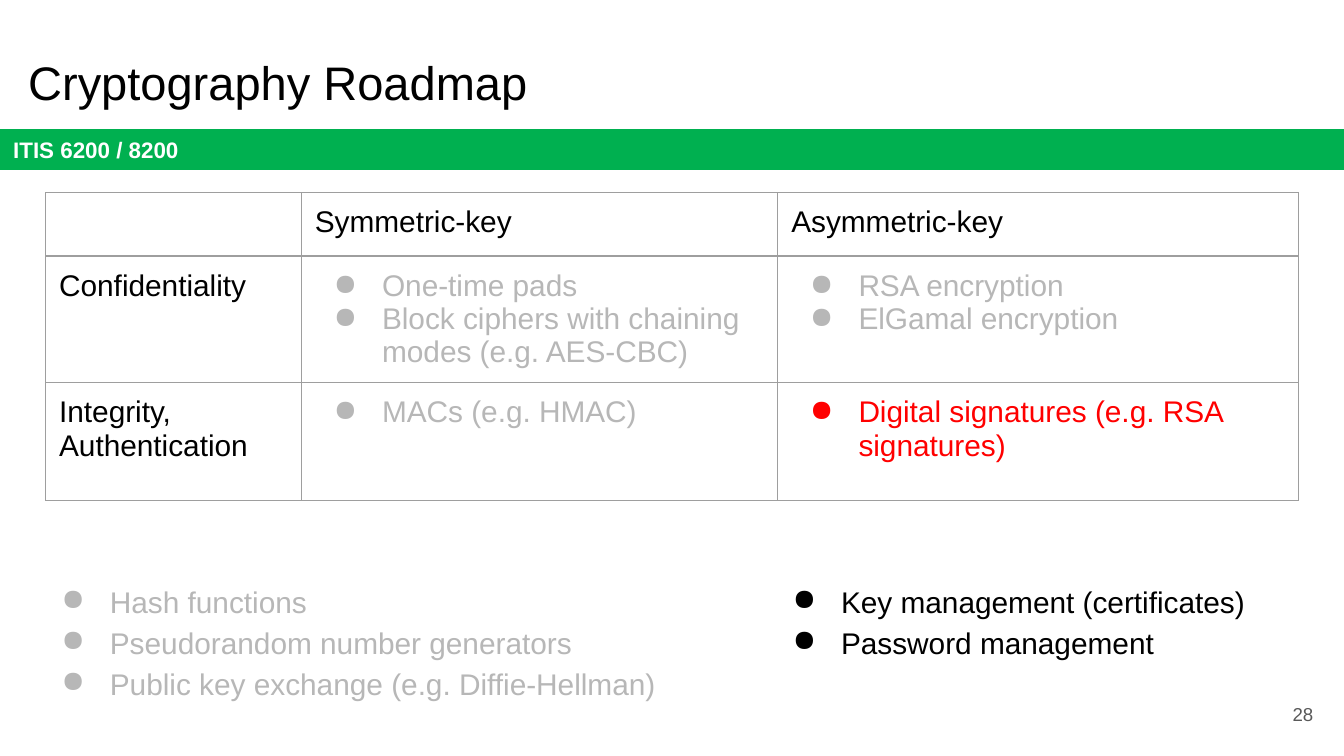
from dataclasses import dataclass

from lxml import etree
from pptx import Presentation
from pptx.dml.color import RGBColor
from pptx.enum.shapes import MSO_SHAPE
from pptx.enum.text import MSO_ANCHOR, PP_ALIGN
from pptx.oxml.ns import qn
from pptx.slide import Slide
from pptx.table import _Cell
from pptx.text.text import TextFrame, _Paragraph
from pptx.util import Pt

RECTANGLE = MSO_SHAPE.RECTANGLE
TOP, MIDDLE = MSO_ANCHOR.TOP, MSO_ANCHOR.MIDDLE
LEFT, RIGHT = PP_ALIGN.LEFT, PP_ALIGN.RIGHT


@dataclass(frozen=True)
class Theme:
    font: str = "Arial"
    black: str = "000000"
    white: str = "FFFFFF"
    green: str = "00B050"
    covered: str = "B7B7B7"
    current: str = "FF0000"
    page_gray: str = "595959"
    border: str = "9E9E9E"
    title_size: float = 25.2
    body_size: float = 16
    course_size: float = 12
    page_size: float = 10
    inset: float = 7.2
    border_width: float = 0.75
    bullet_left: float = 36
    bullet_hanging: float = 26


THEME = Theme()


@dataclass(frozen=True)
class Box:
    left: float
    top: float
    width: float
    height: float

    def lengths(self) -> tuple[Pt, Pt, Pt, Pt]:
        return Pt(self.left), Pt(self.top), Pt(self.width), Pt(self.height)


@dataclass(frozen=True)
class Content:
    lines: tuple[str, ...]
    color: str = THEME.black
    size: float = THEME.body_size
    bold: bool = False
    bulleted: bool = False
    spacing: float = 1.0
    alignment: PP_ALIGN = LEFT


@dataclass(frozen=True)
class TextBlock:
    box: Box
    content: Content
    anchor: MSO_ANCHOR = TOP


def topics(*lines: str, color: str = THEME.covered, spacing: float = 1.0) -> Content:
    return Content(lines, color, bulleted=True, spacing=spacing)


TABLE_BOX = Box(24.5, 103.2, 671, 156.3)
COLUMN_WIDTHS = (137, 255.25, 278.75)
ROW_HEIGHTS = (29.5, 63.4, 63.4)
ROADMAP = (
    (Content(("",)), Content(("Symmetric-key",)), Content(("Asymmetric-key",))),
    (
        Content(("Confidentiality",)),
        topics("One-time pads", "Block ciphers with chaining modes (e.g. AES-CBC)"),
        topics("RSA encryption", "ElGamal encryption"),
    ),
    (
        Content(("Integrity,\vAuthentication",)),
        topics("MACs (e.g. HMAC)"),
        topics("Digital signatures (e.g. RSA signatures)", color=THEME.current),
    ),
)

COURSE_BOX = Box(0, 69.2, 720, 21.8)
COURSE = Content(("ITIS 6200 / 8200",), THEME.white, THEME.course_size, bold=True)

TEXT_BLOCKS = (
    TextBlock(
        Box(8, 21.6, 671, 45.4),
        Content(("Cryptography Roadmap",), size=THEME.title_size),
    ),
    TextBlock(
        Box(15.8, 302.4, 344.2, 92.2),
        topics(
            "Hash functions",
            "Pseudorandom number generators",
            "Public key exchange (e.g. Diffie-Hellman)",
            spacing=1.15,
        ),
    ),
    TextBlock(
        Box(407.5, 302.4, 271.5, 56.2),
        topics(
            "Key management (certificates)",
            "Password management",
            color=THEME.black,
            spacing=1.15,
        ),
    ),
    TextBlock(
        Box(667.4, 367.2, 43.2, 31),
        Content(("28",), THEME.page_gray, THEME.page_size, alignment=RIGHT),
        MIDDLE,
    ),
)


def add_bullet(paragraph: _Paragraph, color: str) -> None:
    properties = paragraph._p.get_or_add_pPr()
    properties.set("marL", str(Pt(THEME.bullet_left)))
    properties.set("indent", str(-Pt(THEME.bullet_hanging)))
    bullet_color = etree.SubElement(properties, qn("a:buClr"))
    etree.SubElement(bullet_color, qn("a:srgbClr"), val=color)
    etree.SubElement(properties, qn("a:buChar"), char="●")


def write_content(text_frame: TextFrame, content: Content) -> None:
    text_frame.text = "\n".join(content.lines)
    for paragraph in text_frame.paragraphs:
        paragraph.alignment = content.alignment
        paragraph.line_spacing = content.spacing
        if content.bulleted:
            add_bullet(paragraph, content.color)
        for run in paragraph.runs:
            run.font.name = THEME.font
            run.font.size = Pt(content.size)
            run.font.bold = content.bold
            run.font.color.rgb = RGBColor.from_string(content.color)
        if not paragraph.runs:
            size = str(int(content.size * 100))
            etree.SubElement(paragraph._p, qn("a:endParaRPr"), sz=size)


def set_layout(target: TextFrame | _Cell, anchor: MSO_ANCHOR) -> None:
    """Apply the shared insets and the anchor to a text frame or table cell."""
    target.margin_left = target.margin_right = Pt(THEME.inset)
    target.margin_top = target.margin_bottom = Pt(THEME.inset)
    target.vertical_anchor = anchor
    target.word_wrap = True


def add_course_bar(slide: Slide) -> None:
    bar = slide.shapes.add_shape(RECTANGLE, *COURSE_BOX.lengths())
    bar.shadow.inherit = False
    bar.fill.solid()
    bar.fill.fore_color.rgb = RGBColor.from_string(THEME.green)
    bar.line.fill.background()
    set_layout(bar.text_frame, MIDDLE)
    write_content(bar.text_frame, COURSE)


def add_text_block(slide: Slide, block: TextBlock) -> None:
    text_frame = slide.shapes.add_textbox(*block.box.lengths()).text_frame
    set_layout(text_frame, block.anchor)
    write_content(text_frame, block.content)


def add_borders(cell: _Cell) -> None:
    properties = cell._tc.get_or_add_tcPr()
    for side in ("lnL", "lnR", "lnT", "lnB"):
        line = etree.SubElement(
            properties, qn(f"a:{side}"), w=str(Pt(THEME.border_width))
        )
        fill = etree.SubElement(line, qn("a:solidFill"))
        etree.SubElement(fill, qn("a:srgbClr"), val=THEME.border)


def add_roadmap_table(slide: Slide) -> None:
    table = slide.shapes.add_table(
        len(ROW_HEIGHTS), len(COLUMN_WIDTHS), *TABLE_BOX.lengths()
    ).table
    table.first_row = table.horz_banding = False
    for column, width in zip(table.columns, COLUMN_WIDTHS):
        column.width = Pt(width)
    for row, height, contents in zip(table.rows, ROW_HEIGHTS, ROADMAP):
        row.height = Pt(height)
        for cell, content in zip(row.cells, contents):
            set_layout(cell, TOP)
            add_borders(cell)
            cell.fill.background()
            write_content(cell.text_frame, content)


def main() -> None:
    presentation = Presentation()
    presentation.slide_width = Pt(720)
    presentation.slide_height = Pt(405)
    slide = presentation.slides.add_slide(presentation.slide_layouts[6])
    add_course_bar(slide)
    add_roadmap_table(slide)
    for block in TEXT_BLOCKS:
        add_text_block(slide, block)
    presentation.save("out.pptx")


if __name__ == "__main__":
    main()
